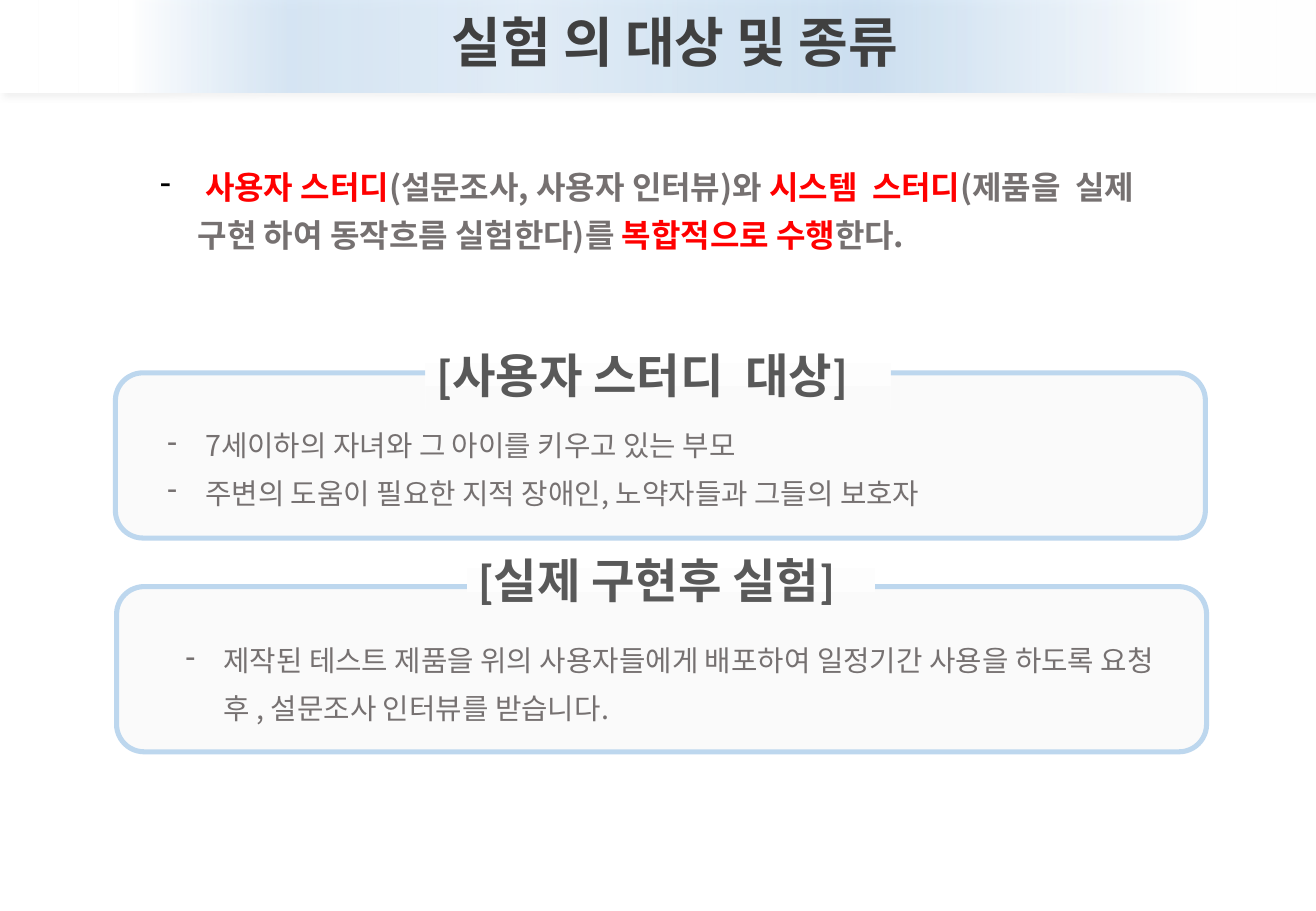
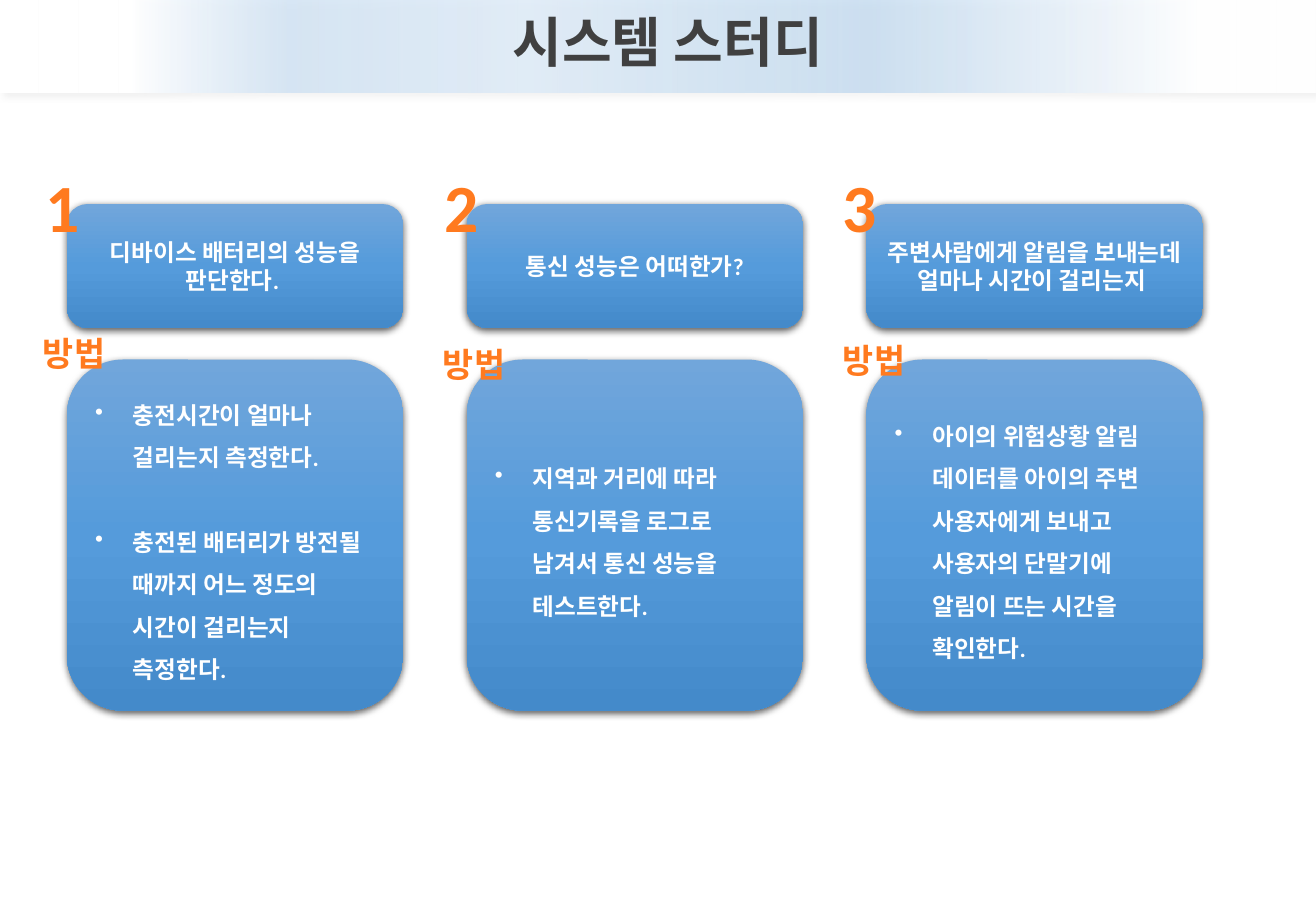
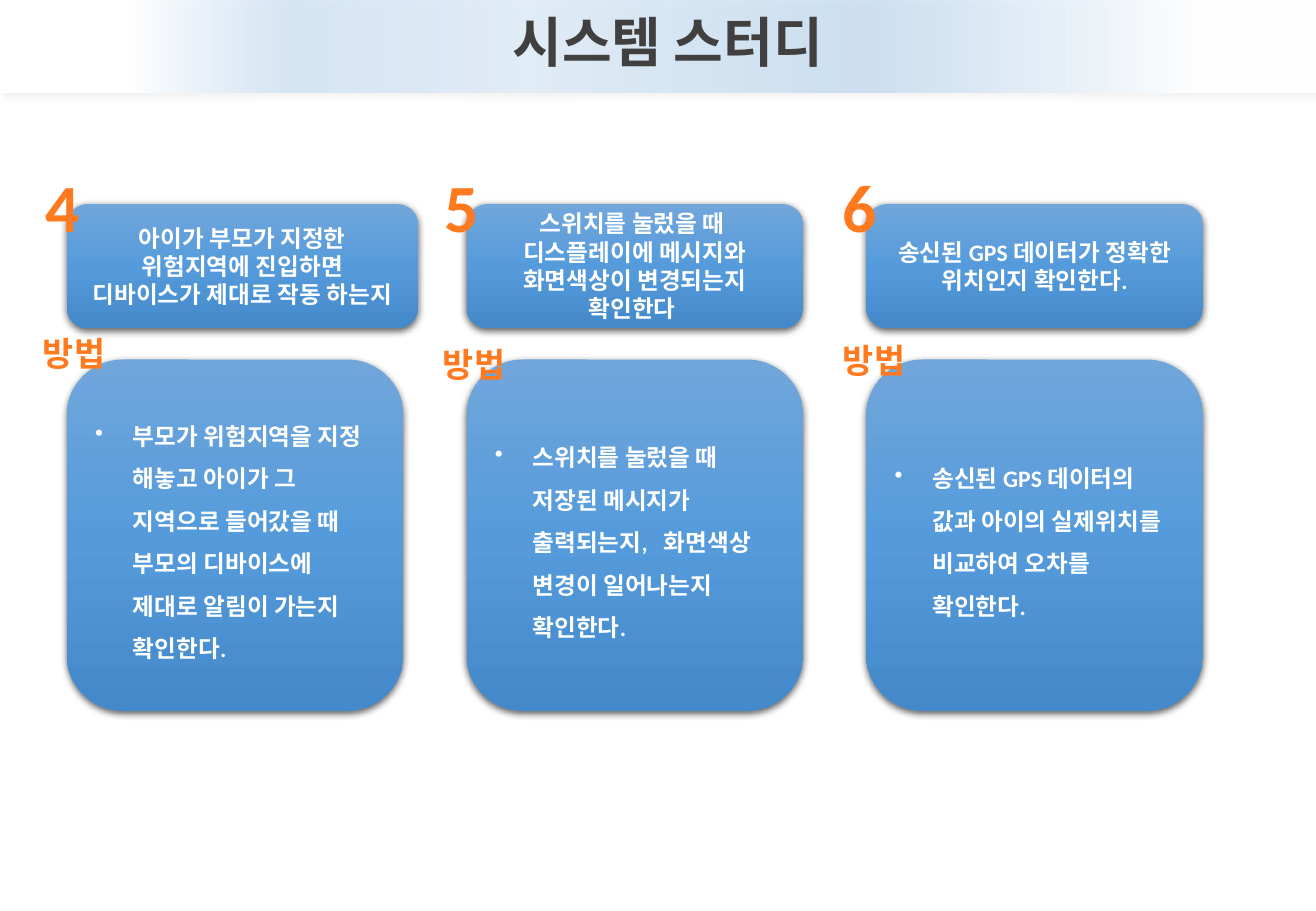
from dataclasses import dataclass
from typing import Optional

from lxml import etree
from pptx import Presentation
from pptx.dml.color import RGBColor
from pptx.enum.shapes import MSO_SHAPE
from pptx.enum.text import MSO_ANCHOR, MSO_AUTO_SIZE, PP_ALIGN
from pptx.oxml.ns import qn
from pptx.util import Inches, Pt

ROUNDED, RECT = MSO_SHAPE.ROUNDED_RECTANGLE, MSO_SHAPE.RECTANGLE
LEFT, CENTER = PP_ALIGN.LEFT, PP_ALIGN.CENTER
TOP, MIDDLE = MSO_ANCHOR.TOP, MSO_ANCHOR.MIDDLE

SLIDE_W, SLIDE_H = 10.83, 7.5
KOREAN, LATIN, TITLE_FONT = "Noto Sans CJK KR", "Calibri", "Arial"
COLORS = {
    "title": "404040", "heading": "595959", "body": "767171", "key": "FF0000",
    "black": "000000", "white": "FFFFFF", "panel": "F2F2F2", "border": "BDD7EE",
    "orange": "FF7A1F", "rust": "CA5200", "off_white": "FAFAFA", "band_shadow": "DBDBDB",
    "pale": "DEEBF7", "sky": "BDD7EE", "mist": "CEE1F3",
    "card_top": "71A6DB", "card_mid": "559BDB", "card_low": "448ACA",
}
INDENT = 0.31

# Card grid
COL_LEFT, COL_PITCH, CARD_W = 0.55, 3.29, 2.77
GOAL_TOP, GOAL_H = 1.68, 1.02
METHOD_TOP, METHOD_H = 2.96, 2.89
NUMBER_LEFT, NUMBER_PITCH, NUMBER_TOP = 0.27, 3.28, 1.31
LABEL_LEFT, LABEL_TOPS = 0.22, (2.69, 2.78, 2.75)


@dataclass(frozen=True)
class Gradient:
    """Stops are (position %, colour name, opacity %)."""
    stops: tuple
    angle: int = 90


@dataclass(frozen=True)
class Shadow:
    color: str
    opacity: int
    blur: float
    distance: float
    angle: int


@dataclass(frozen=True)
class Panel:
    left: float
    top: float
    heading: str
    heading_box: tuple
    body_left: float
    body_top: float
    lines: tuple


@dataclass(frozen=True)
class Card:
    goal: str
    methods: tuple
    goal_w: float = CARD_W


BAND_FILL = Gradient(((9, "white", 95), (22, "pale", 79), (34, "sky", 72),
                      (60, "pale", 85), (78, "mist", 78), (90, "white", 100)), 180)
CARD_FILL = Gradient(((0, "card_top", 100), (50, "card_mid", 100), (100, "card_low", 100)))
HEADING_FILL = Gradient(((0, "white", 100), (100, "off_white", 100)))
ORANGE_FILL = Gradient(((25, "orange", 100), (100, "rust", 100)))
BAND_SHADOW = Shadow("band_shadow", 40, 4, 3, 45)
CARD_SHADOW = Shadow("black", 63, 4.5, 1.5, 90)

INTRO = ((" ", "black"), ("사용자 스터디", "key"), ("(설문조사, 사용자 인터뷰)와 ", "body"),
         ("시스템  스터디", "key"), ("(제품을  실제 구현 하여 동작흐름 실험한다)를 ", "body"),
         ("복합적으로 수행", "key"), ("한다.", "body"))
PANELS = (
    Panel(0.95, 3.07, "[사용자 스터디  대상]", (3.5, 2.8, 3.83, 0.57), 1.28, 3.37,
          ("7세이하의 자녀와 그 아이를 키우고 있는 부모",
           "주변의 도움이 필요한 지적 장애인, 노약자들과 그들의 보호자")),
    Panel(0.96, 4.83, "[실제 구현후 실험]", (3.84, 4.49, 3.36, 0.57), 1.43, 5.14,
          ("제작된 테스트 제품을 위의 사용자들에게 배포하여 일정기간 사용을 하도록 요청 후 , "
           "설문조사 인터뷰를 받습니다.",)),
)
CARD_SLIDES = (
    (Card("디바이스 배터리의 성능을 판단한다. ",
          ("충전시간이 얼마나 걸리는지 측정한다.",
           "충전된 배터리가 방전될 때까지 어느 정도의 시간이 걸리는지 측정한다.")),
     Card("통신 성능은 어떠한가?",
          ("지역과 거리에 따라 통신기록을 로그로 남겨서 통신 성능을 테스트한다.",)),
     Card("주변사람에게 알림을 보내는데 얼마나 시간이 걸리는지 ",
          ("아이의 위험상황 알림 데이터를 아이의 주변 사용자에게 보내고 사용자의 단말기에 "
           "알림이 뜨는 시간을 확인한다.",))),
    (Card("아이가 부모가 지정한 위험지역에 진입하면 디바이스가 제대로 작동 하는지",
          ("부모가 위험지역을 지정 해놓고 아이가 그 지역으로 들어갔을 때  부모의 디바이스에 "
           "제대로 알림이 가는지 확인한다.",), 2.89),
     Card("스위치를 눌렀을 때  디스플레이에 메시지와 화면색상이 변경되는지 확인한다 ",
          ("스위치를 눌렀을 때 저장된 메시지가 출력되는지,   화면색상 변경이 일어나는지 확인한다.",)),
     Card("송신된 GPS 데이터가 정확한 위치인지 확인한다.",
          ("송신된 GPS 데이터의 값과 아이의 실제위치를 비교하여 오차를 확인한다.",))),
)


def rgb(name: str) -> RGBColor:
    return RGBColor.from_string(COLORS[name])


def add_color(parent, name: str, opacity: int = 100) -> None:
    clr = etree.SubElement(parent, qn("a:srgbClr"), val=COLORS[name])
    if opacity < 100:
        etree.SubElement(clr, qn("a:alpha"), val=str(opacity * 1000))


def set_gradient(fill, parent, gradient: Gradient) -> None:
    """Put a gradient where the solid fill of parent (spPr or rPr) belongs."""
    fill.solid()
    grad = etree.Element(qn("a:gradFill"), rotWithShape="1")
    stops = etree.SubElement(grad, qn("a:gsLst"))
    for pos, name, opacity in gradient.stops:
        add_color(etree.SubElement(stops, qn("a:gs"), pos=str(pos * 1000)), name, opacity)
    etree.SubElement(grad, qn("a:lin"), ang=str(gradient.angle * 60000), scaled="0")
    parent.replace(parent.find(qn("a:solidFill")), grad)


def set_shadow(sp, shadow: Shadow) -> None:
    effects = sp.element.spPr.find(qn("a:effectLst"))
    outer = etree.SubElement(effects, qn("a:outerShdw"), blurRad=str(Pt(shadow.blur)),
                             dist=str(Pt(shadow.distance)), dir=str(shadow.angle * 60000),
                             algn="ctr", rotWithShape="0")
    add_color(outer, shadow.color, shadow.opacity)


def add_box(s, kind, left: float, top: float, width: float, height: float,
            gradient: Optional[Gradient] = None, shadow: Optional[Shadow] = None):
    sp = s.shapes.add_shape(kind, Inches(left), Inches(top), Inches(width), Inches(height))
    sp.shadow.inherit = False
    sp.line.fill.background()
    if gradient:
        set_gradient(sp.fill, sp.element.spPr, gradient)
    if shadow:
        set_shadow(sp, shadow)
    return sp


def add_text_box(s, left: float, top: float, width: float, height: float, wrap: bool = False):
    sp = s.shapes.add_textbox(Inches(left), Inches(top), Inches(width), Inches(height))
    sp.text_frame.word_wrap = wrap
    sp.text_frame.auto_size = MSO_AUTO_SIZE.SHAPE_TO_FIT_TEXT
    return sp


def write(sp, paragraphs, *, size: float, font: str = LATIN, color: str = "white",
          bold: bool = True, align=LEFT, anchor=TOP, bullet: str = "", line_spacing=None,
          gap: float = 0, gradient: Optional[Gradient] = None, tracking: float = 0) -> None:
    """Each paragraph is a string or a sequence of (text, colour name) runs."""
    tf = sp.text_frame
    tf.vertical_anchor = anchor
    for i, content in enumerate(paragraphs):
        p = tf.add_paragraph() if i else tf.paragraphs[0]
        p.alignment = align
        if line_spacing:
            p.line_spacing = line_spacing
        if gap and i:
            p.space_before = Pt(gap)
        if bullet:
            p_pr = p._p.get_or_add_pPr()
            p_pr.set("marL", str(Inches(INDENT)))
            p_pr.set("indent", str(-Inches(INDENT)))
            etree.SubElement(p_pr, qn("a:buChar"), char=bullet)
        runs = ((content, color),) if isinstance(content, str) else content
        for text, run_color in runs:
            r = p.add_run()
            r.text = text
            r.font.size, r.font.bold, r.font.name = Pt(size), bold, font
            r_pr = r._r.get_or_add_rPr()
            if gradient:
                set_gradient(r.font.fill, r_pr, gradient)
            else:
                r.font.color.rgb = rgb(run_color)
            if tracking:
                r_pr.set("spc", str(int(tracking * 100)))
            etree.SubElement(r_pr, qn("a:ea"), typeface=KOREAN)


def add_title(s, text: str, left: float, width: float) -> None:
    add_box(s, RECT, 0, 0, SLIDE_W, 0.76, BAND_FILL, BAND_SHADOW)
    write(add_text_box(s, left, 0.02, width, 0.64), [text],
          size=32, font=TITLE_FONT, color="title", align=CENTER)


def add_dash_list(s, left: float, top: float, height: float, paragraphs,
                  size: float, bold: bool) -> None:
    write(add_text_box(s, left, top, 8.38, height, wrap=True), paragraphs, size=size,
          font=KOREAN, color="body", bold=bold, bullet="-", line_spacing=Pt(28))


def add_panel(s, panel: Panel) -> None:
    sp = add_box(s, ROUNDED, panel.left, panel.top, 8.97, 1.36)
    sp.fill.solid()
    sp.fill.fore_color.rgb = rgb("panel")
    clr = sp.element.spPr.find(qn("a:solidFill")).find(qn("a:srgbClr"))
    etree.SubElement(clr, qn("a:alpha"), val="37000")
    sp.line.color.rgb = rgb("border")
    sp.line.width = Pt(3)
    add_dash_list(s, panel.body_left, panel.body_top, 1.65, panel.lines, 17, False)
    heading = add_text_box(s, *panel.heading_box)
    set_gradient(heading.fill, heading.element.spPr, HEADING_FILL)
    write(heading, [panel.heading], size=28, color="heading")


def add_orange_text(s, text: str, left: float, top: float, width: float, height: float,
                    size: float) -> None:
    write(add_text_box(s, left, top, width, height), [text], size=size, align=CENTER,
          gradient=ORANGE_FILL, tracking=0.5)


def add_card(s, card: Card, col: int, number: int) -> None:
    left = COL_LEFT + col * COL_PITCH
    goal = add_box(s, ROUNDED, left, GOAL_TOP, card.goal_w, GOAL_H, CARD_FILL, CARD_SHADOW)
    write(goal, [card.goal], size=14, align=CENTER, anchor=MIDDLE)
    add_orange_text(s, str(number), NUMBER_LEFT + col * NUMBER_PITCH, NUMBER_TOP,
                    0.49, 0.77, 40)
    method = add_box(s, ROUNDED, left, METHOD_TOP, CARD_W, METHOD_H, CARD_FILL, CARD_SHADOW)
    write(method, card.methods, size=14, anchor=MIDDLE, bullet="•", line_spacing=1.5, gap=25)
    add_orange_text(s, "방법", LABEL_LEFT + col * COL_PITCH, LABEL_TOPS[col], 0.78, 0.44, 20)


def main() -> None:
    prs = Presentation()
    prs.slide_width, prs.slide_height = Inches(SLIDE_W), Inches(SLIDE_H)
    blank = prs.slide_layouts[6]

    s = prs.slides.add_slide(blank)
    add_title(s, "실험 의 대상 및 종류", 3.36, 4.39)
    add_dash_list(s, 1.22, 1.26, 1.28, [INTRO], 19, True)
    for panel in PANELS:
        add_panel(s, panel)

    number = 1
    for cards in CARD_SLIDES:
        s = prs.slides.add_slide(blank)
        add_title(s, "시스템 스터디", 3.97, 3.05)
        for col, card in enumerate(cards):
            add_card(s, card, col, number)
            number += 1

    prs.save("out.pptx")


if __name__ == "__main__":
    main()
